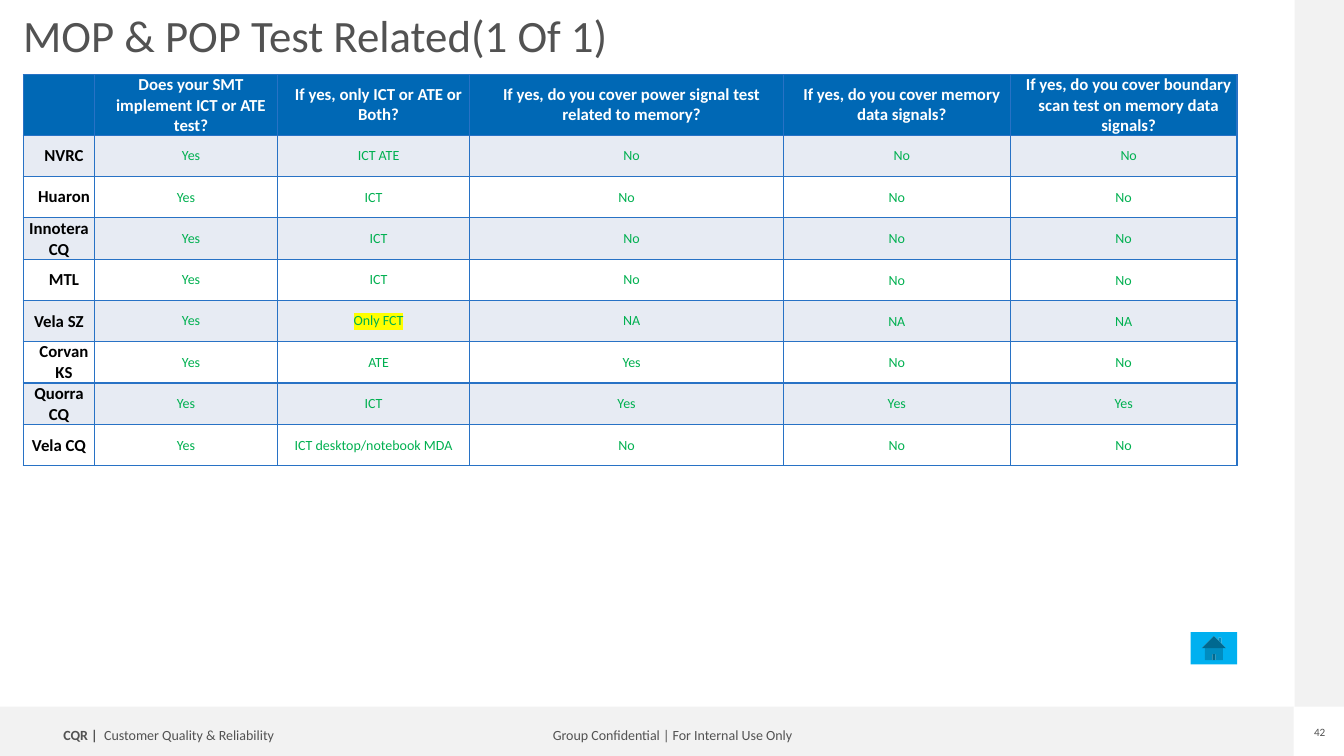
"""Build the memory test coverage slide with its supplier table."""
from dataclasses import dataclass

from lxml.etree import SubElement
from pptx import Presentation
from pptx.dml.color import RGBColor
from pptx.enum.shapes import MSO_SHAPE as Preset
from pptx.enum.text import MSO_ANCHOR as Anchor, MSO_AUTO_SIZE as AutoSize, PP_ALIGN as Align
from pptx.oxml import parse_xml
from pptx.oxml.ns import nsdecls, qn
from pptx.util import Inches, Pt

FONT = "Calibri"
WHITE = RGBColor(0xFF, 0xFF, 0xFF)
BLACK = RGBColor(0, 0, 0)
GREY_TEXT = RGBColor(0x52, 0x52, 0x52)
GREY_BAND = RGBColor(0xF2, 0xF2, 0xF2)
HEADER_BLUE = RGBColor(0x00, 0x68, 0xB5)
BORDER_BLUE = RGBColor(0x28, 0x72, 0xC5)
ROW_TINT = RGBColor(0xE7, 0xEB, 0xF3)
ANSWER_GREEN = RGBColor(0x00, 0xB0, 0x50)
HOME_BLUE = RGBColor(0x00, 0xB0, 0xF0)
YELLOW = RGBColor(0xFF, 0xFF, 0x00)


@dataclass(frozen=True)
class Area:
    left: float
    top: float
    width: float
    height: float

    def lengths(self) -> tuple:
        return tuple(Inches(v) for v in (self.left, self.top, self.width, self.height))


@dataclass(frozen=True)
class Span:
    text: str
    size: float
    color: RGBColor = GREY_TEXT
    bold: bool = False
    highlight: RGBColor | None = None


@dataclass(frozen=True)
class Block:
    preset: Preset
    area: Area
    fill: RGBColor


@dataclass(frozen=True)
class Label:
    area: Area
    spans: tuple[Span, ...]
    align: Align = Align.LEFT
    inset: bool = False
    wrap: bool = False
    spacing: float = 0.9


@dataclass(frozen=True)
class Supplier:
    name: str
    answers: tuple[str, ...]
    indented: range


BLOCKS = (
    Block(Preset.RECTANGLE, Area(-0.01, 7.01, 12.84, 0.49), GREY_BAND),
    Block(Preset.RECTANGLE, Area(12.84, 0, 0.49, 7.01), GREY_BAND),
    Block(Preset.ACTION_BUTTON_HOME, Area(11.81, 6.27, 0.46, 0.32), HOME_BLUE),
)
LABELS = (
    Label(Area(5.29, 7.18, 2.76, 0.25),
          (Span("Group Confidential | For Internal Use Only", 10),), Align.CENTER, inset=True),
    Label(Area(0.53, 7.18, 2.54, 0.25),
          (Span("CQR | ", 10, bold=True), Span(" Customer Quality & Reliability", 10)), inset=True),
    Label(Area(13.02, 7.2, 0.14, 0.13), (Span("42", 8),), Align.CENTER, spacing=1.0),
    Label(Area(0.23, 0.14, 12.04, 1.04), (Span("MOP & POP Test Related(1 Of 1)", 32),), wrap=True),
)
TABLE_AREA = Area(0.23, 0.74, 12.04, 3.69)
COLUMN_WIDTHS = (0.71, 1.81, 1.91, 3.11, 2.25, 2.25)
ROW_HEIGHT = 0.41
INDENT = 0.1
HAIR_INSET = 0.01
QUESTIONS = (
    "",
    "Does your SMT implement ICT or ATE test?",
    "If yes, only ICT or ATE or Both?",
    "If yes, do you cover power signal test related to memory?",
    "If yes, do you cover memory data signals?",
    "If yes, do you cover boundary scan test on memory data signals?",
)
FLAGGED_ANSWER = "Only FCT"
SUPPLIERS = (
    Supplier("NVRC", ("Yes", "ICT ATE", "No", "No", "No"), range(0, 6)),
    Supplier("Huaron", ("Yes", "ICT", "No", "No", "No"), range(0, 1)),
    Supplier("Innotera CQ", ("Yes", "ICT", "No", "No", "No"), range(1, 4)),
    Supplier("MTL", ("Yes", "ICT", "No", "No", "No"), range(0, 4)),
    Supplier("Vela SZ", ("Yes", FLAGGED_ANSWER, "NA", "NA", "NA"), range(1, 4)),
    Supplier("Corvan KS", ("Yes", "ATE", "Yes", "No", "No"), range(0, 4)),
    Supplier("Quorra CQ", ("Yes", "ICT", "Yes", "Yes", "Yes"), range(0)),
    Supplier("Vela CQ", ("Yes", "ICT desktop/notebook MDA", "No", "No", "No"), range(0)),
)


def add_span(para, span: Span) -> None:
    run = para.add_run()
    run.text = span.text
    font = run.font
    font.name, font.size, font.bold = FONT, Pt(span.size), span.bold
    font.color.rgb = span.color
    if span.highlight is not None:
        mark = parse_xml(f'<a:highlight {nsdecls("a")}><a:srgbClr val="{span.highlight}"/></a:highlight>')
        run._r.rPr.find(qn("a:solidFill")).addnext(mark)


def add_block(page, block: Block) -> None:
    shape = page.shapes.add_shape(block.preset, *block.area.lengths())
    shape.shadow.inherit = False
    shape.fill.solid()
    shape.fill.fore_color.rgb = block.fill
    shape.line.fill.background()


def add_label(page, label: Label) -> None:
    box = page.shapes.add_textbox(*label.area.lengths())
    frame = box.text_frame
    frame.word_wrap = label.wrap
    frame.auto_size = AutoSize.NONE if label.wrap else AutoSize.SHAPE_TO_FIT_TEXT
    if not label.inset:
        frame.margin_left = frame.margin_top = frame.margin_right = frame.margin_bottom = 0
    para = frame.paragraphs[0]
    para.alignment = label.align
    para.line_spacing = label.spacing
    for span in label.spans:
        add_span(para, span)


def add_borders(cell) -> None:
    properties = cell._tc.get_or_add_tcPr()
    for position, side in enumerate(("lnL", "lnR", "lnT", "lnB")):
        line = SubElement(properties, qn(f"a:{side}"), w=str(Pt(1)))
        fill = SubElement(line, qn("a:solidFill"))
        SubElement(fill, qn("a:srgbClr"), val=str(BORDER_BLUE))
        properties.insert(position, line)


def fill_cell(cell, span: Span, fill: RGBColor, indented: bool) -> None:
    cell.vertical_anchor = Anchor.MIDDLE
    cell.margin_left = Inches(INDENT if indented else HAIR_INSET)
    cell.margin_top = cell.margin_right = Inches(0 if indented else HAIR_INSET)
    cell.margin_bottom = 0
    cell.fill.solid()
    cell.fill.fore_color.rgb = fill
    add_borders(cell)
    if span.text:
        para = cell.text_frame.paragraphs[0]
        para.alignment = Align.CENTER
        add_span(para, span)


def add_supplier_table(page) -> None:
    table = page.shapes.add_table(
        len(SUPPLIERS) + 1, len(QUESTIONS), *TABLE_AREA.lengths()).table
    for column, width in zip(table.columns, COLUMN_WIDTHS):
        column.width = Inches(width)
    for row in table.rows:
        row.height = Inches(ROW_HEIGHT)
    for index, question in enumerate(QUESTIONS):
        fill_cell(table.cell(0, index), Span(question, 12, WHITE, True), HEADER_BLUE, True)
    for number, supplier in enumerate(SUPPLIERS, start=1):
        spans = [Span(supplier.name, 12, BLACK, True)]
        for answer in supplier.answers:
            highlight = YELLOW if answer == FLAGGED_ANSWER else None
            spans.append(Span(answer, 10, ANSWER_GREEN, highlight=highlight))
        fill = ROW_TINT if number % 2 else WHITE
        for index, span in enumerate(spans):
            fill_cell(table.cell(number, index), span, fill, index in supplier.indented)


def main() -> None:
    deck = Presentation()
    deck.slide_width, deck.slide_height = Inches(13.33), Inches(7.5)
    page = deck.slides.add_slide(deck.slide_layouts[6])
    for block in BLOCKS:
        add_block(page, block)
    for label in LABELS:
        add_label(page, label)
    add_supplier_table(page)
    deck.save("out.pptx")


if __name__ == "__main__":
    main()
